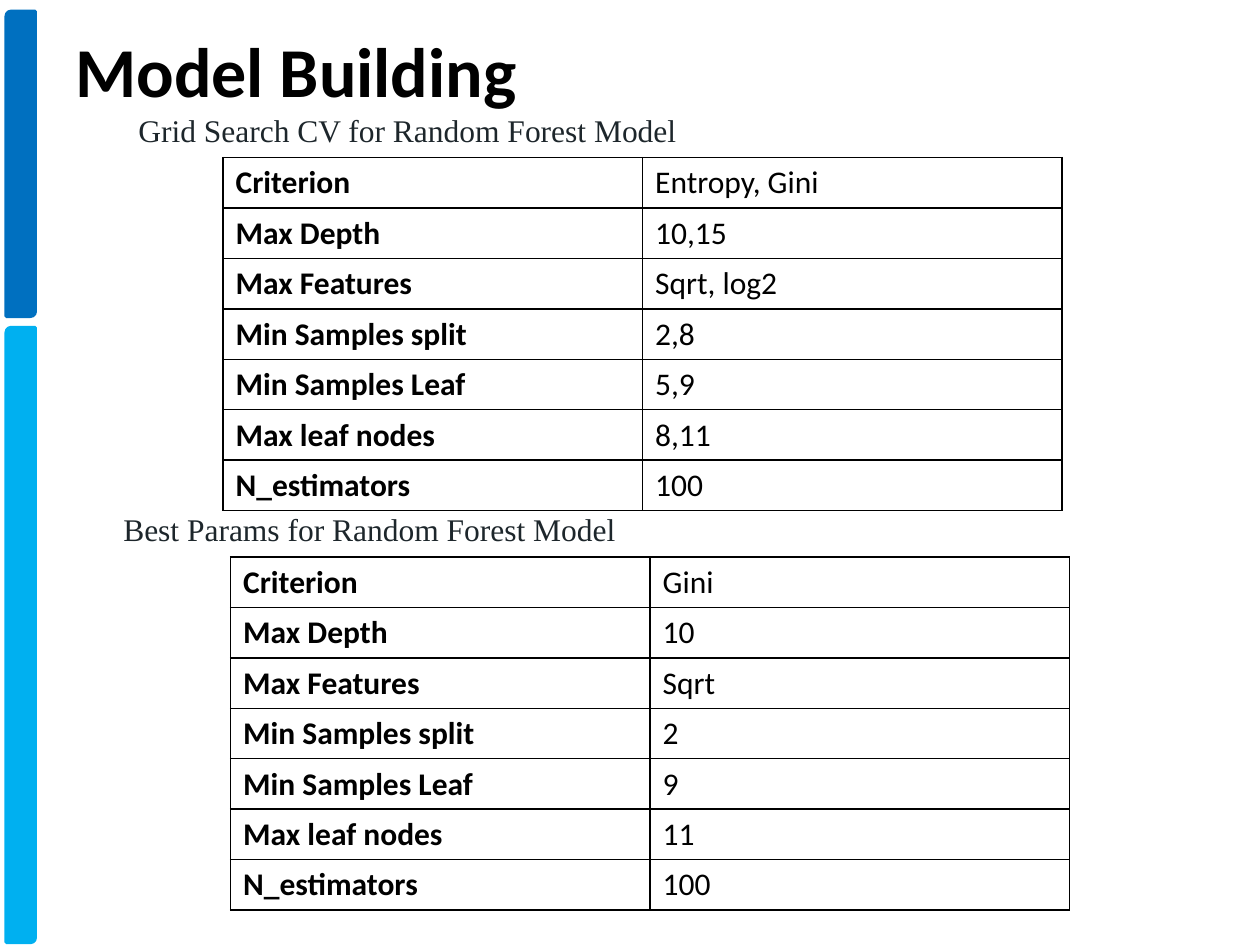
from lxml.etree import SubElement
from pptx import Presentation
from pptx.dml.color import RGBColor
from pptx.enum.shapes import MSO_SHAPE as Shape
from pptx.enum.text import MSO_ANCHOR as Anchor, MSO_AUTO_SIZE as AutoSize, PP_ALIGN as Align
from pptx.oxml.ns import qn
from pptx.util import Inches, Pt

COLORS = {"dark_bar": "0070C0", "light_bar": "00B0F0", "caption": "1D262B",
          "text": "000000", "border": "000000"}
PARAMETERS = ["Criterion", "Max Depth", "Max Features", "Min Samples split",
              "Min Samples Leaf", "Max leaf nodes", "N_estimators"]
SEARCHED = ["Entropy, Gini", "10,15", "Sqrt, log2", "2,8", "5,9", "8,11", "100"]
BEST = ["Gini", "10", "Sqrt", "2", "9", "11", "100"]
COLUMN_WIDTH, ROW_HEIGHT = 3.33, 0.4


def rgb(role):
    """Return the colour for a role on the slide."""
    return RGBColor.from_string(COLORS[role])


def write(paragraph, words, size, font, role, bold=False):
    """Add one formatted run to a paragraph."""
    run = paragraph.add_run()
    run.text = words
    run.font.size = Pt(size)
    run.font.name = font
    run.font.bold = bold
    run.font.color.rgb = rgb(role)


def add_bar(slide, top, height, role):
    """Draw one bar of the left-hand stripe."""
    bar = slide.shapes.add_shape(Shape.ROUND_2_DIAG_RECTANGLE, Inches(0.05),
                                 Inches(top), Inches(0.23), Inches(height))
    bar.shadow.inherit = False
    bar.fill.solid()
    bar.fill.fore_color.rgb = rgb(role)
    bar.line.color.rgb = rgb(role)
    bar.line.width = Pt(2)


def set_title(slide, words):
    """Place and format the slide title."""
    title = slide.shapes.title
    title.left, title.top = Inches(0.5), Inches(0.17)
    title.width, title.height = Inches(9.34), Inches(0.77)
    frame = title.text_frame
    frame.auto_size = AutoSize.SHAPE_TO_FIT_TEXT
    frame.vertical_anchor = Anchor.TOP
    heading = frame.paragraphs[0]
    heading.alignment = Align.LEFT
    write(heading, words, 40, "Calibri", "text", bold=True)


def add_caption(slide, left, top, words):
    """Add the indented caption above a table."""
    caption = slide.shapes.add_textbox(Inches(left), Inches(top), Inches(9.25), Inches(0.4))
    frame = caption.text_frame
    frame.word_wrap = True
    frame.auto_size = AutoSize.SHAPE_TO_FIT_TEXT
    line = frame.paragraphs[0]
    line.level = 1
    indent = line._p.get_or_add_pPr()
    indent.set("marL", str(Inches(0.5)))
    indent.set("indent", "0")
    write(line, words, 18, "Times New Roman", "caption")


def set_borders(cell):
    """Give a cell a thin line on all four sides."""
    properties = cell._tc.get_or_add_tcPr()
    for side in ("a:lnL", "a:lnR", "a:lnT", "a:lnB"):
        edge = SubElement(properties, qn(side), w=str(Pt(1)))
        fill = SubElement(edge, qn("a:solidFill"))
        SubElement(fill, qn("a:srgbClr"), val=COLORS["border"])


def add_parameter_table(slide, left, top, values):
    """Add a table that pairs each parameter with its value."""
    table = slide.shapes.add_table(
        len(PARAMETERS), 2, Inches(left), Inches(top),
        Inches(2 * COLUMN_WIDTH), Inches(len(PARAMETERS) * ROW_HEIGHT)).table
    table.first_row = table.horz_banding = False
    for column in table.columns:
        column.width = Inches(COLUMN_WIDTH)
    for row, pair in zip(table.rows, zip(PARAMETERS, values)):
        row.height = Inches(ROW_HEIGHT)
        for index, (cell, words) in enumerate(zip(row.cells, pair)):
            set_borders(cell)
            cell.fill.background()
            write(cell.text_frame.paragraphs[0], words, 18, "Calibri", "text", bold=index == 0)


def main():
    """Build and save the slide."""
    deck = Presentation()
    deck.slide_width, deck.slide_height = Inches(10), Inches(7.5)
    slide = deck.slides.add_slide(deck.slide_layouts[5])
    add_bar(slide, 0.09, 2.42, "dark_bar")
    add_bar(slide, 2.6, 4.88, "light_bar")
    set_title(slide, "Model Building")
    add_caption(slide, 0.5, 0.83, "Grid Search CV for Random Forest Model")
    add_parameter_table(slide, 1.77, 1.25, SEARCHED)
    add_caption(slide, 0.38, 4, "Best Params for Random Forest Model")
    add_parameter_table(slide, 1.83, 4.42, BEST)
    deck.save("out.pptx")


if __name__ == "__main__":
    main()
